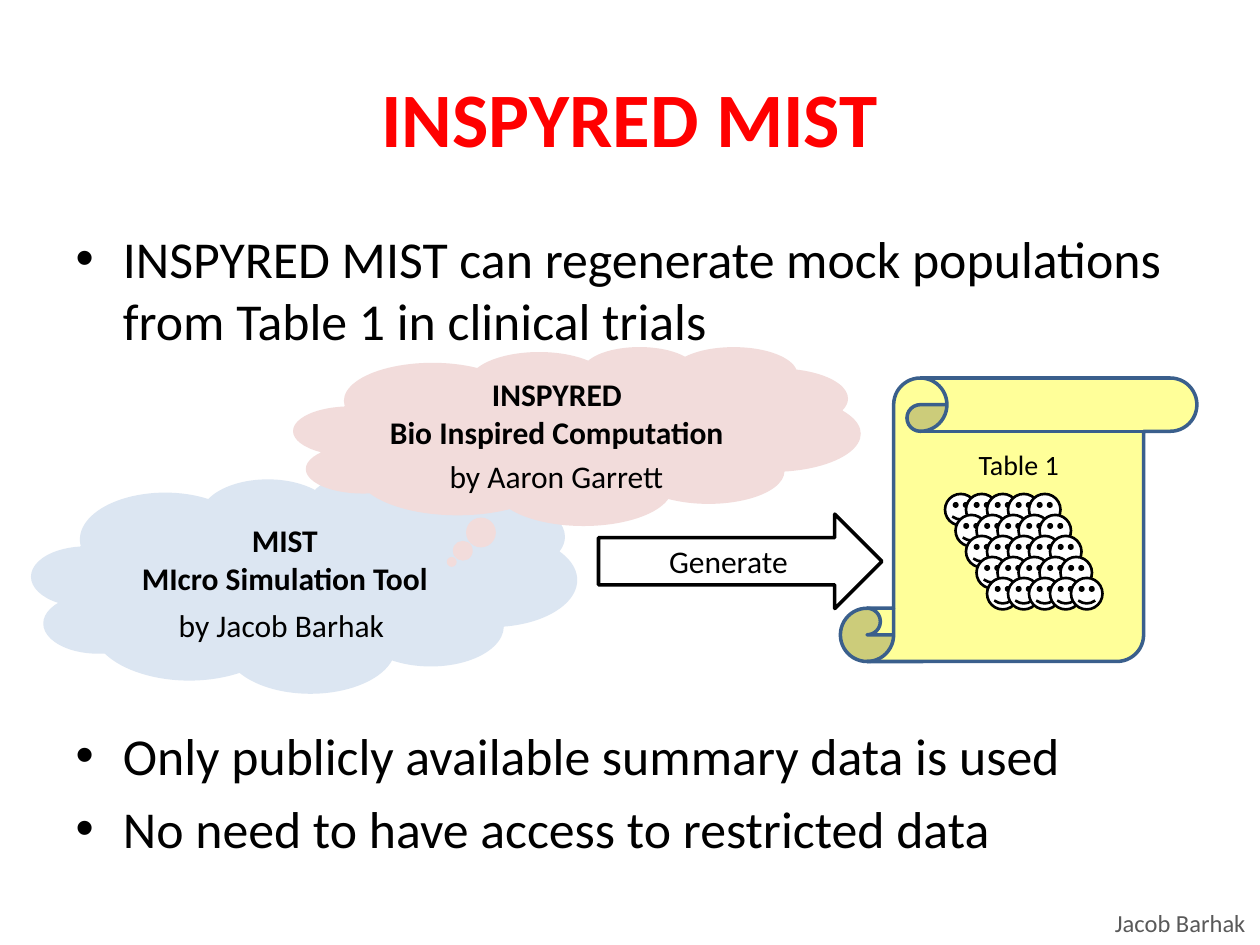
from dataclasses import dataclass
from typing import Optional

import pptx
import pptx.dml.color
import pptx.enum.shapes
import pptx.enum.text
import pptx.util

Inches = pptx.util.Inches
Pt = pptx.util.Pt
Shape = pptx.enum.shapes.MSO_SHAPE
Align = pptx.enum.text.PP_ALIGN
Anchor = pptx.enum.text.MSO_ANCHOR


@dataclass(frozen=True)
class Theme:
    font: str = "Calibri"
    ink: str = "000000"
    paper: str = "FFFFFF"
    heading: str = "FF0000"
    credit: str = "595959"
    simulation: str = "DCE6F2"
    computation: str = "F2DCDB"
    scroll: str = "FFFF99"
    scroll_edge: str = "3A5F8C"
    title_size: float = 44
    body_size: float = 29.6
    label_size: float = 18
    table_size: float = 16
    credit_size: float = 14


THEME = Theme()


@dataclass(frozen=True)
class Box:
    left: float
    top: float
    width: float
    height: float

    def lengths(self) -> tuple:
        return tuple(Inches(v) for v in (self.left, self.top, self.width, self.height))


@dataclass(frozen=True)
class Figure:
    kind: Shape
    box: Box
    fill: str
    edge: Optional[str] = None
    edge_width: float = 2
    adjustments: tuple = ()
    lines: tuple = ()
    size: float = THEME.label_size
    bold: bool = False
    anchor: Anchor = Anchor.MIDDLE
    top_inset: float = 0.05
    bottom_inset: float = 0.05


@dataclass(frozen=True)
class Caption:
    text: str
    box: Box
    size: float = THEME.label_size
    color: str = THEME.ink


def rgb(value: str) -> pptx.dml.color.RGBColor:
    return pptx.dml.color.RGBColor.from_string(value)


def add_run(paragraph, text: str, size: float, color: str = THEME.ink, bold: bool = False) -> None:
    run = paragraph.add_run()
    run.text = text
    run.font.name = THEME.font
    run.font.size = Pt(size)
    run.font.bold = bold
    run.font.color.rgb = rgb(color)


def place(placeholder, box: Box) -> None:
    placeholder.left, placeholder.top, placeholder.width, placeholder.height = box.lengths()
    placeholder.text_frame.auto_size = pptx.enum.text.MSO_AUTO_SIZE.NONE


def paragraph_at(frame, index: int):
    return frame.add_paragraph() if index else frame.paragraphs[0]


def draw_figure(slide, figure: Figure) -> None:
    shape = slide.shapes.add_shape(figure.kind, *figure.box.lengths())
    shape.shadow.inherit = False
    for index, value in enumerate(figure.adjustments):
        shape.adjustments[index] = value
    shape.fill.solid()
    shape.fill.fore_color.rgb = rgb(figure.fill)
    if figure.edge:
        shape.line.color.rgb = rgb(figure.edge)
        shape.line.width = Pt(figure.edge_width)
    else:
        shape.line.fill.background()
    frame = shape.text_frame
    frame.vertical_anchor = figure.anchor
    frame.margin_top = Inches(figure.top_inset)
    frame.margin_bottom = Inches(figure.bottom_inset)
    for index, line in enumerate(figure.lines):
        paragraph = paragraph_at(frame, index)
        paragraph.alignment = Align.CENTER
        add_run(paragraph, line, figure.size, bold=figure.bold)


def draw_caption(slide, caption: Caption) -> None:
    frame = slide.shapes.add_textbox(*caption.box.lengths()).text_frame
    frame.word_wrap = False
    add_run(frame.paragraphs[0], caption.text, caption.size, caption.color)


def draw_population(slide, rows: int = 5, columns: int = 5) -> None:
    """Draw the mock population as a grid whose rows each shift half a step right."""
    step = 1 / 6
    for row in range(rows):
        for column in range(columns):
            box = Box(7.5 + (column + row / 2) * step, 3.92 + row * step, 0.25, 0.25)
            draw_figure(slide, Figure(Shape.SMILEY_FACE, box, THEME.paper, THEME.ink, 1.5))


CLOUDS_AND_SCROLL = (
    Figure(Shape.CLOUD_CALLOUT, Box(0.25, 3.75, 4.33, 1.75), THEME.simulation,
           adjustments=(0.018, -0.008), lines=("MIST", "MIcro Simulation Tool"),
           bold=True, bottom_inset=0.35),
    Figure(Shape.CLOUD_CALLOUT, Box(2.33, 2.75, 4.5, 1.42), THEME.computation,
           adjustments=(-0.221, 0.704), lines=("INSPYRED", "Bio Inspired Computation"),
           bold=True, bottom_inset=0.35),
    Figure(Shape.VERTICAL_SCROLL, Box(6.67, 3, 2.83, 2.25), THEME.scroll, THEME.scroll_edge,
           adjustments=(0.188,), lines=("Table 1",), size=THEME.table_size,
           anchor=Anchor.TOP, top_inset=0.13),
)
GENERATE_ARROW = Figure(Shape.RIGHT_ARROW, Box(4.75, 4.08, 2.25, 0.75), THEME.paper,
                        THEME.ink, lines=("Generate",))
CAPTIONS = (
    Caption("by Aaron Garrett", Box(3.47, 3.58, 1.93, 0.4)),
    Caption("by Jacob Barhak", Box(1.32, 4.76, 1.85, 0.4)),
    Caption("Jacob Barhak", Box(8.75, 7.16, 1.25, 0.34), THEME.credit_size, THEME.credit),
)
BULLETS = (
    "INSPYRED MIST can regenerate mock populations from Table 1 in clinical trials",
    "Only publicly available summary data is used",
    "No need to have access to restricted data",
)
DIAGRAM_GAP = 213


def main() -> None:
    deck = pptx.Presentation()
    deck.slide_width, deck.slide_height = Inches(10), Inches(7.5)
    slide = deck.slides.add_slide(deck.slide_layouts[1])

    title = slide.shapes.title
    place(title, Box(0.5, 0.3, 9, 1.25))
    heading = title.text_frame.paragraphs[0]
    heading.alignment = Align.CENTER
    add_run(heading, "INSPYRED MIST", THEME.title_size, THEME.heading, True)

    body = slide.placeholders[1]
    place(body, Box(0.5, 1.75, 9, 4.95))
    for index, bullet in enumerate(BULLETS):
        paragraph = paragraph_at(body.text_frame, index)
        add_run(paragraph, bullet, THEME.body_size)
    body.text_frame.paragraphs[1].space_before = Pt(DIAGRAM_GAP)

    for figure in CLOUDS_AND_SCROLL:
        draw_figure(slide, figure)
    draw_population(slide)
    draw_figure(slide, GENERATE_ARROW)
    for caption in CAPTIONS:
        draw_caption(slide, caption)

    deck.save("out.pptx")


if __name__ == "__main__":
    main()
